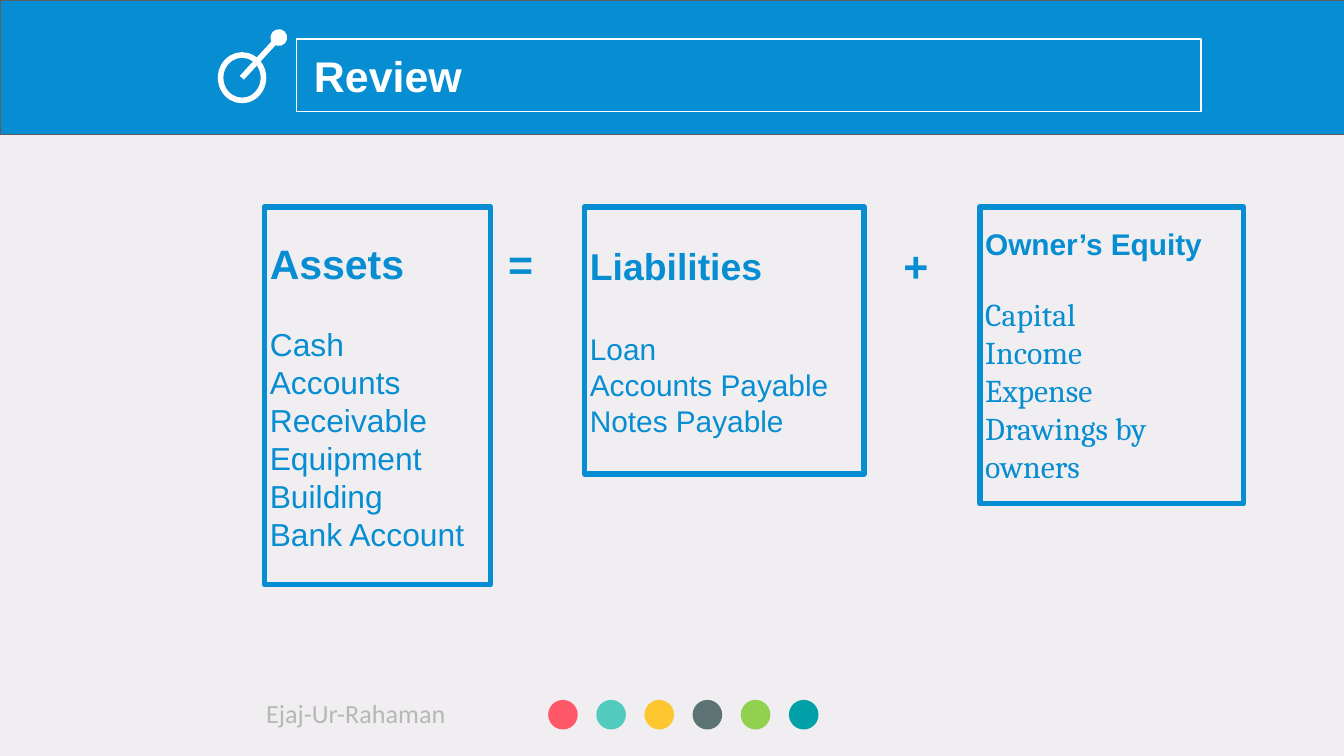
from dataclasses import dataclass

from lxml.etree import SubElement
from pptx import Presentation
from pptx.dml.color import RGBColor
from pptx.enum.shapes import MSO_CONNECTOR as Connector, MSO_SHAPE as Shape
from pptx.enum.text import MSO_ANCHOR as Anchor, PP_ALIGN as Align
from pptx.oxml.ns import qn
from pptx.util import Cm, Pt


@dataclass(frozen=True)
class Theme:
    background: str = "F0EEF0"
    blue: str = "078DD1"
    white: str = "FFFFFF"
    grey: str = "B7B7B7"
    edge: str = "5E5E5E"
    dots: tuple = ("FF5969", "52CBBE", "FEC630", "5D7373", "92D050", "00A0A8")
    font: str = "Arial"
    serif: str = "Cambria"
    footer_font: str = "Calibri"
    title_size: int = 23
    footer_size: int = 14
    thin: float = 0.75
    thick: float = 3


THEME = Theme()

# left, width, height, heading, heading size, gap below, items, item size, item font
CARDS = [
    (5, 4.27, 7.14, "Assets", 22, 20,
     ["Cash", "Accounts Receivable", "Equipment", "Building", "Bank Account"],
     17, THEME.font),
    (11.05, 5.28, 5.05, "Liabilities", 20, 23,
     ["Loan", "Accounts Payable", "Notes Payable"], 16, THEME.font),
    (18.52, 4.98, 5.61, "Owner’s Equity", 16, 18,
     ["Capital", "Income", "Expense", "Drawings by owners"], 17, THEME.serif),
]


def color(value):
    return RGBColor.from_string(value)


def add_box(page, kind, left, top, width, height, fill=None, line=None, weight=0.75):
    box = page.shapes.add_shape(kind, Cm(left), Cm(top), Cm(width), Cm(height))
    box.shadow.inherit = False
    if fill:
        box.fill.solid()
        box.fill.fore_color.rgb = color(fill)
    else:
        box.fill.background()
    if line:
        box.line.color.rgb = color(line)
        box.line.width = Pt(weight)
    else:
        box.line.fill.background()
    return box


def add_label(page, left, top, width, height):
    return page.shapes.add_textbox(Cm(left), Cm(top), Cm(width), Cm(height))


def set_frame(box, anchor=Anchor.MIDDLE):
    frame = box.text_frame
    frame.word_wrap = True
    frame.vertical_anchor = anchor
    frame.margin_left = frame.margin_right = Cm(0.1)
    frame.margin_top = frame.margin_bottom = Cm(0.1)
    return frame


def write(para, text, size=THEME.title_size, font=THEME.font, ink=THEME.blue,
          bold=False, align=Align.LEFT, after=0):
    para.alignment = align
    para.space_after = Pt(after)
    span = para.add_run()
    span.text = text
    span.font.size = Pt(size)
    span.font.name = font
    span.font.bold = bold
    span.font.color.rgb = color(ink)


def add_line(page, start, end, ink, weight):
    """Draw a straight line with a round knob at its end."""
    line = page.shapes.add_connector(
        Connector.STRAIGHT, *(Cm(value) for value in (*start, *end)))
    line.line.color.rgb = color(ink)
    line.line.width = Pt(weight)
    SubElement(line.line._get_or_add_ln(), qn("a:tailEnd"), type="oval")
    SubElement(line._element.spPr, qn("a:effectLst"))


def add_header(page):
    add_box(page, Shape.RECTANGLE, 0, 0, 25.48, 2.54, THEME.blue, THEME.edge, THEME.thin)
    title = add_box(page, Shape.RECTANGLE, 5.61, 0.74, 17.09, 1.37,
                    line=THEME.white, weight=THEME.thin)
    write(set_frame(title).paragraphs[0], " Review", ink=THEME.white, bold=True)
    # Ring with a pointer
    add_box(page, Shape.OVAL, 4.17, 1.04, 0.81, 0.86,
            line=THEME.white, weight=THEME.thick)
    add_line(page, (4.57, 1.47), (5.27, 0.71), THEME.white, THEME.thick)


def add_card(page, left, width, height, heading, heading_size, gap, items, size, font):
    card = add_box(page, Shape.RECTANGLE, left, 3.91, width, height,
                   line=THEME.blue, weight=THEME.thick)
    frame = set_frame(card)
    write(frame.paragraphs[0], heading, size=heading_size, bold=True, after=gap)
    for item in items:
        write(frame.add_paragraph(), item, size=size, font=font)


def add_sign(page, left, top, sign):
    frame = set_frame(add_label(page, left, top, 2.36, 1.57))
    write(frame.paragraphs[0], f" {sign} ", bold=True, align=Align.CENTER)


def add_footer(page):
    frame = set_frame(add_label(page, 4.93, 13.08, 4.09, 0.86), Anchor.TOP)
    write(frame.paragraphs[0], "Ejaj-Ur-Rahaman", size=THEME.footer_size,
          font=THEME.footer_font, ink=THEME.grey)
    for index, fill in enumerate(THEME.dots):
        add_box(page, Shape.OVAL, 10.36 + 0.91 * index, 13.23, 0.56, 0.56, fill)


def main():
    deck = Presentation()
    deck.slide_width, deck.slide_height = Cm(25.4), Cm(14.29)
    page = deck.slides.add_slide(deck.slide_layouts[6])
    page.background.fill.solid()
    page.background.fill.fore_color.rgb = color(THEME.background)

    add_header(page)
    # Accounting equation
    for card in CARDS:
        add_card(page, *card)
    add_sign(page, 8.66, 4.19, "=")
    add_sign(page, 16.13, 4.24, "+")
    add_footer(page)
    deck.save("out.pptx")


if __name__ == "__main__":
    main()
